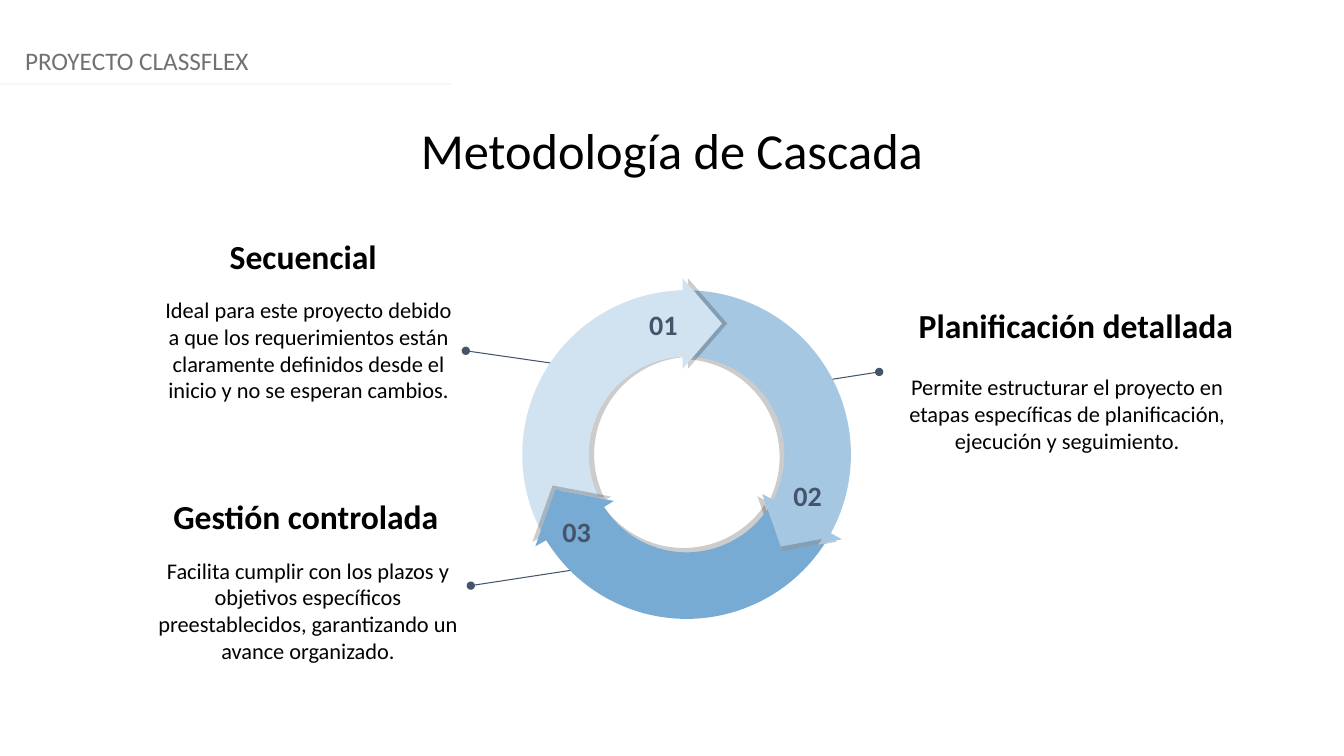
from math import ceil, cos, floor, sin, radians, tan
from lxml.etree import SubElement
from pptx import Presentation
from pptx.dml.color import RGBColor
from pptx.enum.shapes import MSO_CONNECTOR
from pptx.enum.text import MSO_ANCHOR, MSO_AUTO_SIZE, PP_ALIGN
from pptx.oxml.ns import qn
from pptx.util import Inches, Pt

# Content
COLORS = {"black": "000000", "navy": "44546A", "gray": "757070",
          "rule": "F5F7FC", "light": "D1E2F0", "mid": "A5C7E1", "dark": "77ABD3"}
TITLE = ("Metodología de Cascada", (0, 1.13, 13.33, 0.71))
HEADER = ("PROYECTO CLASSFLEX", (0.15, 0.4, 13.33, 0.4))

LEFT, MID, RIGHT = PP_ALIGN.LEFT, PP_ALIGN.CENTER, PP_ALIGN.RIGHT
# heading, its box and alignment, body, its box
TOPICS = [
    ("Secuencial", (2.18, 2.4, 1.82, 0.28), LEFT,
     "Ideal para este proyecto debido a que los requerimientos están "
     "claramente definidos desde el inicio y no se esperan cambios.",
     (1.5, 2.57, 3.12, 1.8)),
    ("Gestión controlada", (1.62, 4.82, 2.92, 0.6), LEFT,
     "Facilita cumplir con los plazos y objetivos específicos "
     "preestablecidos, garantizando un avance organizado.",
     (1.44, 5.31, 3.23, 1.49)),
    ("Planificación detallada", (8.85, 3.08, 3.48, 0.28), RIGHT,
     "Permite estructurar el proyecto en etapas específicas de "
     "planificación, ejecución y seguimiento.",
     (8.72, 3.16, 3.73, 1.88)),
]
NUMBERS = [("02", (7.69, 4.77, 0.64, 0.28)), ("03", (5.4, 5.13, 0.64, 0.28)),
           ("01", (6.31, 3.08, 0.54, 0.28))]
LEADERS = [(4.62, 3.48, 5.59, 3.62), (4.67, 5.81, 6.04, 5.6), (8.72, 3.69, 7.89, 3.82)]

# Ring arrows: fill, shadow angle, then corners (x, y) and arcs (radius, from, to)
HUB, OUTER, INNER = (6.81, 4.51), 1.63, 0.97
ARROWS = [
    ("mid", 154, [(7.16, 3.21), (INNER, -86.5, 27.6), (7.56, 4.9),
                  (7.76, 5.47), (8.35, 5.35), (OUTER, 28.6, -87.5)]),
    ("light", 0, [(6.77, 2.76), (OUTER, -91.4, -207.7), (5.51, 4.86),
                  (INNER, -206.3, -92.4), (6.77, 3.66), (7.16, 3.21)]),
    ("dark", 236, [(5.51, 4.86), (5.31, 5.42), (OUTER, 148.6, 32.7), (7.76, 5.47),
                   (INNER, 34, 147.6), (6.09, 4.97)]),
]
STEP = 30


def color(name):
    return RGBColor.from_string(COLORS[name])


def write(shape, text, size, name="black", bold=False, align=LEFT,
          anchor=MSO_ANCHOR.MIDDLE, pad=0.1, fit=MSO_AUTO_SIZE.NONE):
    frame = shape.text_frame
    frame.text = text
    form = {"word_wrap": True, "auto_size": fit, "vertical_anchor": anchor,
            "margin_left": Inches(0.1), "margin_right": Inches(0.1),
            "margin_top": Inches(pad), "margin_bottom": Inches(pad)}
    for key, value in form.items():
        setattr(frame, key, value)
    para = frame.paragraphs[0]
    para.alignment = align
    font = para.runs[0].font
    for key, value in {"name": "Calibri", "size": Pt(size), "bold": bold}.items():
        setattr(font, key, value)
    font.color.rgb = color(name)


def label(box, *args, **form):
    write(slide.shapes.add_textbox(*map(Inches, box)), *args, **form)


def rule(ends, name, width, dot=False):
    line = slide.shapes.add_connector(MSO_CONNECTOR.STRAIGHT, *map(Inches, ends))
    line.line.color.rgb = color(name)
    line.line.width = Pt(width)
    if dot:
        SubElement(line.line._get_or_add_ln(), qn("a:headEnd"), type="oval")
    SubElement(line._element.spPr, qn("a:effectLst"))


def polar(radius, angle, slide_by=0):
    """Point on the ring, moved along its tangent by a share of the radius."""
    c, s = cos(radians(angle)), sin(radians(angle))
    return (Inches(HUB[0] + radius * (c - slide_by * s)),
            Inches(HUB[1] + radius * (s + slide_by * c)))


def trace(parts):
    """List each node with the two handles of the curve to it, if any."""
    nodes = []
    for part in parts:
        if len(part) == 2:
            nodes.append((tuple(map(Inches, part)), None))
            continue
        radius, start, end = part
        low, high = sorted((start, end))
        marks = range(ceil(low / STEP), floor(high / STEP) + 1)
        stops = sorted([low, high] + [STEP * m for m in marks], reverse=start > end)
        nodes.append((polar(radius, start), None))
        for a, b in zip(stops, stops[1:]):
            pull = 4 / 3 * tan(radians(b - a) / 4)
            nodes.append((polar(radius, b), (polar(radius, a, pull), polar(radius, b, -pull))))
    return nodes


def arrow(group, fill, angle, parts):
    nodes = trace(parts)
    pen = group.shapes.build_freeform(*nodes[0][0])
    pen.add_line_segments([point for point, _ in nodes[1:]], close=True)
    shape = pen.convert_to_shape()
    # Bend the lines that belong to arcs
    lines = list(shape._element.iter(qn("a:lnTo")))
    for line, (_, grips) in zip(lines, nodes[1:]):
        if grips:
            line.tag = qn("a:cubicBezTo")
            for spot, (x, y) in enumerate(grips):
                grip = SubElement(line, qn("a:pt"), x=str(x - shape.left), y=str(y - shape.top))
                line.insert(spot, grip)
    shape.fill.solid()
    shape.fill.fore_color.rgb = color(fill)
    shape.line.fill.background()
    shape.shadow.inherit = False
    effects = shape._element.spPr.find(qn("a:effectLst"))
    shade = SubElement(effects, qn("a:outerShdw"), blurRad="0", dist=str(Pt(3.8)),
                       dir=str(angle * 60000), algn="ctr", rotWithShape="0")
    tone = SubElement(shade, qn("a:srgbClr"), val=COLORS["black"])
    SubElement(tone, qn("a:alpha"), val="20000")


deck = Presentation()
deck.slide_width, deck.slide_height = Inches(13.33), Inches(7.5)
slide = deck.slides.add_slide(deck.slide_layouts[5])
grow = {"anchor": MSO_ANCHOR.TOP, "pad": 0.05, "fit": MSO_AUTO_SIZE.SHAPE_TO_FIT_TEXT}

# Title
text, box = TITLE
title = slide.shapes.title
for key, value in zip(("left", "top", "width", "height"), box):
    setattr(title, key, Inches(value))
write(title, text, 36, align=MID, **grow)

# Leader lines and header rule, then the ring over them
for ends in LEADERS:
    rule(ends, "navy", 0.75, dot=True)
rule((0, 0.83, 4.47, 0.83), "rule", 1.25)
ring = slide.shapes.add_group_shape()
for item in ARROWS:
    arrow(ring, *item)

# Topics, numbers and header
for head, spot, align, body, box in TOPICS:
    label(spot, head, 24, bold=True, align=align)
    label(box, body, 16, align=MID)
for text, box in NUMBERS:
    label(box, text, 20, "navy", bold=True, align=MID)
text, box = HEADER
label(box, text, 18, "gray", **grow)

deck.save("out.pptx")
